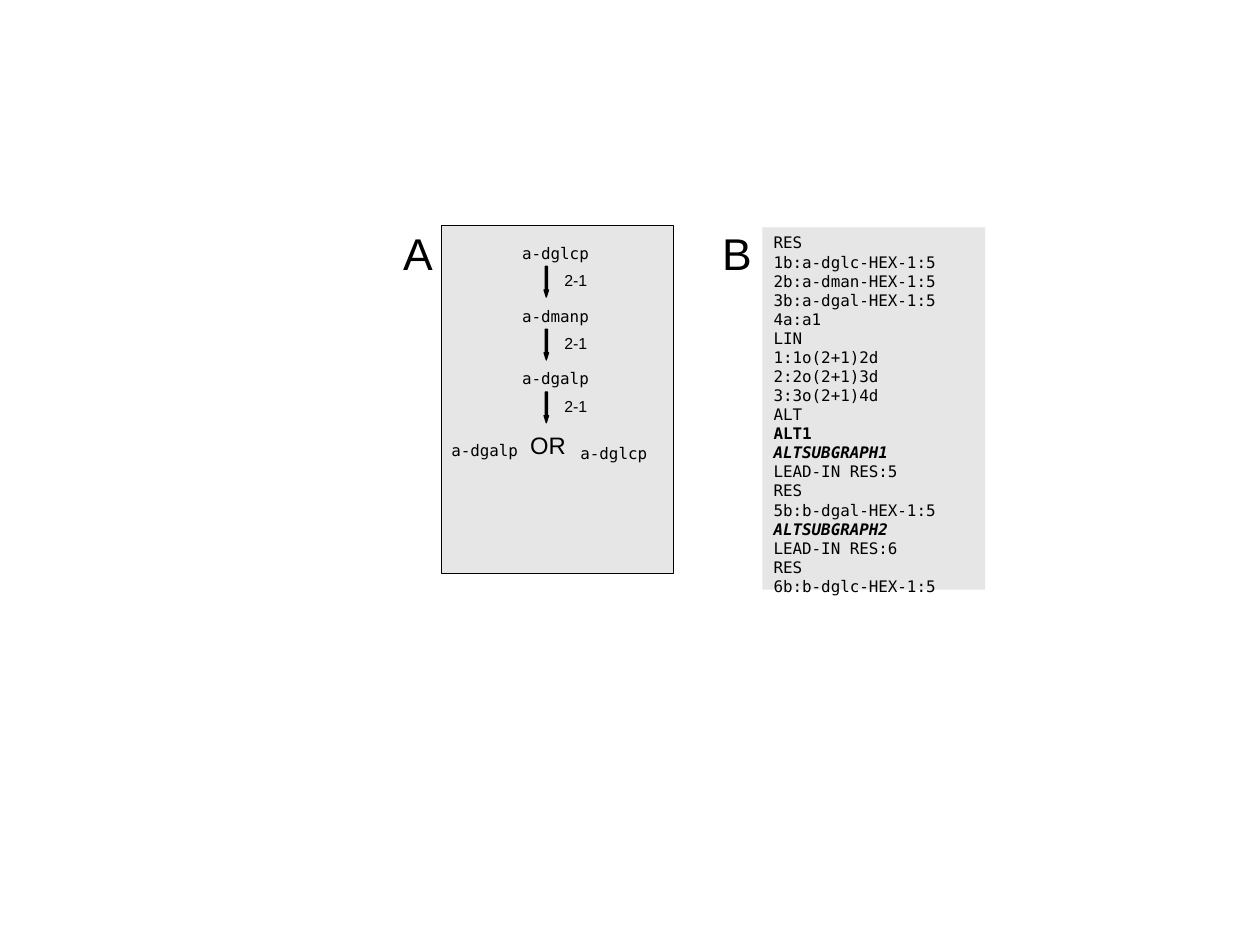
"""Build a slide showing a glycan with alternative residues and its encoding."""
from pptx import Presentation
from pptx.dml.color import RGBColor
from pptx.enum import shapes, text
from pptx.util import Inches, Pt

MONO = "DejaVu Sans Mono"
BLACK = "000000"
GREY = "E6E6E6"
CM_PER_INCH = 2.54


def paint(shape, fill, line=None):
    shape.shadow.inherit = False
    shape.fill.solid()
    shape.fill.fore_color.rgb = RGBColor.from_string(fill)
    if line:
        shape.line.color.rgb = RGBColor.from_string(line)
        shape.line.width = Pt(0)
    else:
        shape.line.fill.background()


def write(frame, lines, font=MONO, size=10, wrap=True):
    frame.word_wrap = wrap
    frame.vertical_anchor = text.MSO_ANCHOR.TOP
    for index, line in enumerate(lines):
        paragraph = frame.add_paragraph() if index else frame.paragraphs[0]
        paragraph.alignment = text.PP_ALIGN.LEFT
        run = paragraph.add_run()
        run.text = line
        run.font.name = font
        run.font.size = Pt(size)
        run.font.bold = line.startswith("ALT") and line != "ALT"
        run.font.italic = line.startswith("ALTSUBGRAPH")
        run.font.color.rgb = RGBColor.from_string(BLACK)


prs = Presentation()
prs.slide_width = Inches(28 / CM_PER_INCH)
prs.slide_height = Inches(21 / CM_PER_INCH)
slide = prs.slides.add_slide(prs.slide_layouts[6])
items = slide.shapes

structure = items.add_shape(shapes.MSO_SHAPE.RECTANGLE, Inches(3.86), Inches(1.97), Inches(2.03), Inches(3.05))
paint(structure, GREY, BLACK)

encoding = items.add_shape(shapes.MSO_SHAPE.RECTANGLE, Inches(6.67), Inches(1.99), Inches(1.95), Inches(3.17))
paint(encoding, GREY)
write(encoding.text_frame, [
    "RES", "1b:a-dglc-HEX-1:5", "2b:a-dman-HEX-1:5", "3b:a-dgal-HEX-1:5", "4a:a1",
    "LIN", "1:1o(2+1)2d", "2:2o(2+1)3d", "3:3o(2+1)4d",
    "ALT", "ALT1",
    "ALTSUBGRAPH1", "LEAD-IN RES:5", "RES", "5b:b-dgal-HEX-1:5",
    "ALTSUBGRAPH2", "LEAD-IN RES:6", "RES", "6b:b-dglc-HEX-1:5",
])

for step, sugar in enumerate(["a-dglcp", "a-dmanp", "a-dgalp"]):
    top = 2.08 + 0.55 * step
    residue = items.add_textbox(Inches(4.47), Inches(top), Inches(1.36), Inches(0.26))
    write(residue.text_frame, [sugar])
    bond = items.add_shape(shapes.MSO_SHAPE.DOWN_ARROW, Inches(4.76), Inches(top + 0.25), Inches(0.04), Inches(0.27))
    bond.adjustments[0] = 0.5
    bond.adjustments[1] = 1.57
    paint(bond, BLACK, BLACK)
    linkage = items.add_textbox(Inches(4.84), Inches(top + 0.24), Inches(0.4), Inches(0.29))
    write(linkage.text_frame, ["2-1"], "Arial", wrap=False)

for sugar, left, top, width in [("a-dgalp", 3.85, 3.81, 0.88), ("a-dglcp", 4.98, 3.83, 0.8)]:
    alternative = items.add_textbox(Inches(left), Inches(top), Inches(width), Inches(0.26))
    write(alternative.text_frame, [sugar])

for word, left, top, width, height, size in [
    ("OR", 4.54, 3.72, 0.51, 0.38, 15),
    ("A", 3.43, 1.93, 0.47, 0.63, 28),
    ("B", 6.22, 1.93, 0.46, 0.63, 28),
]:
    label = items.add_textbox(Inches(left), Inches(top), Inches(width), Inches(height))
    write(label.text_frame, [word], "Arial", size, wrap=False)

prs.save("out.pptx")
